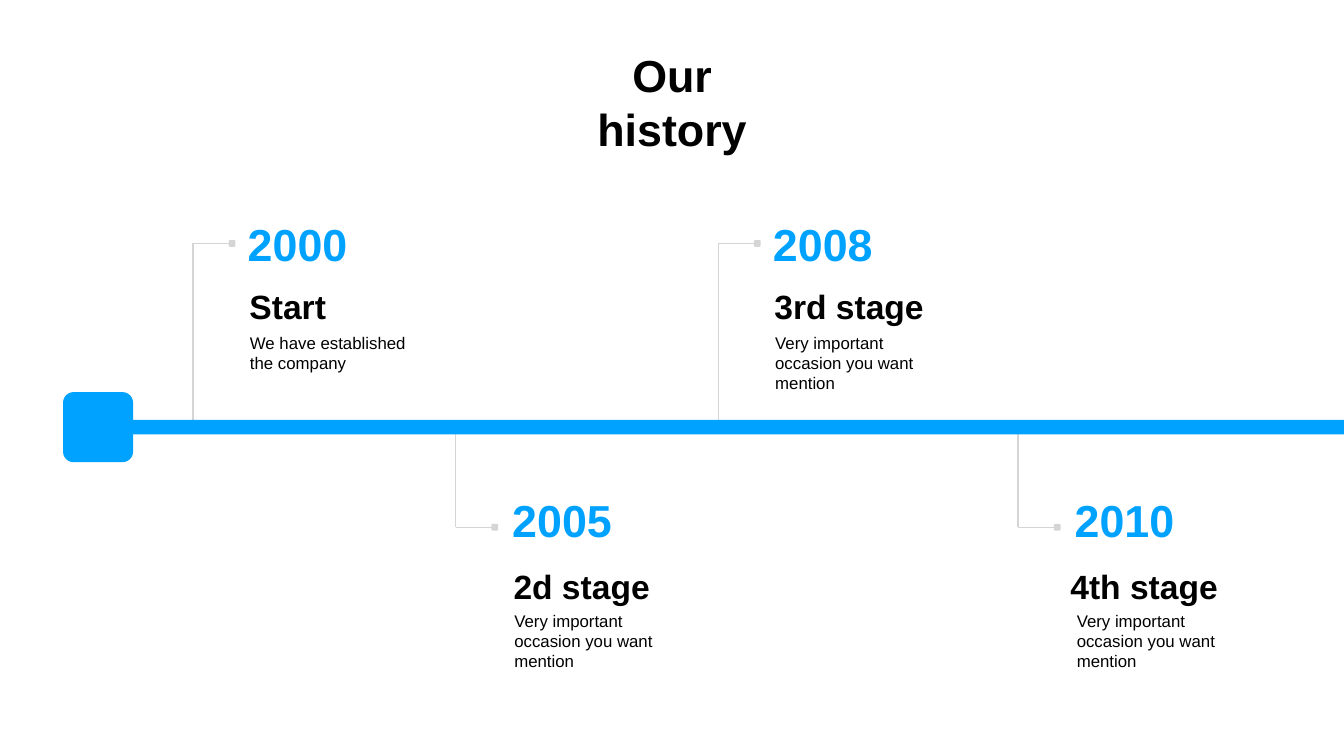
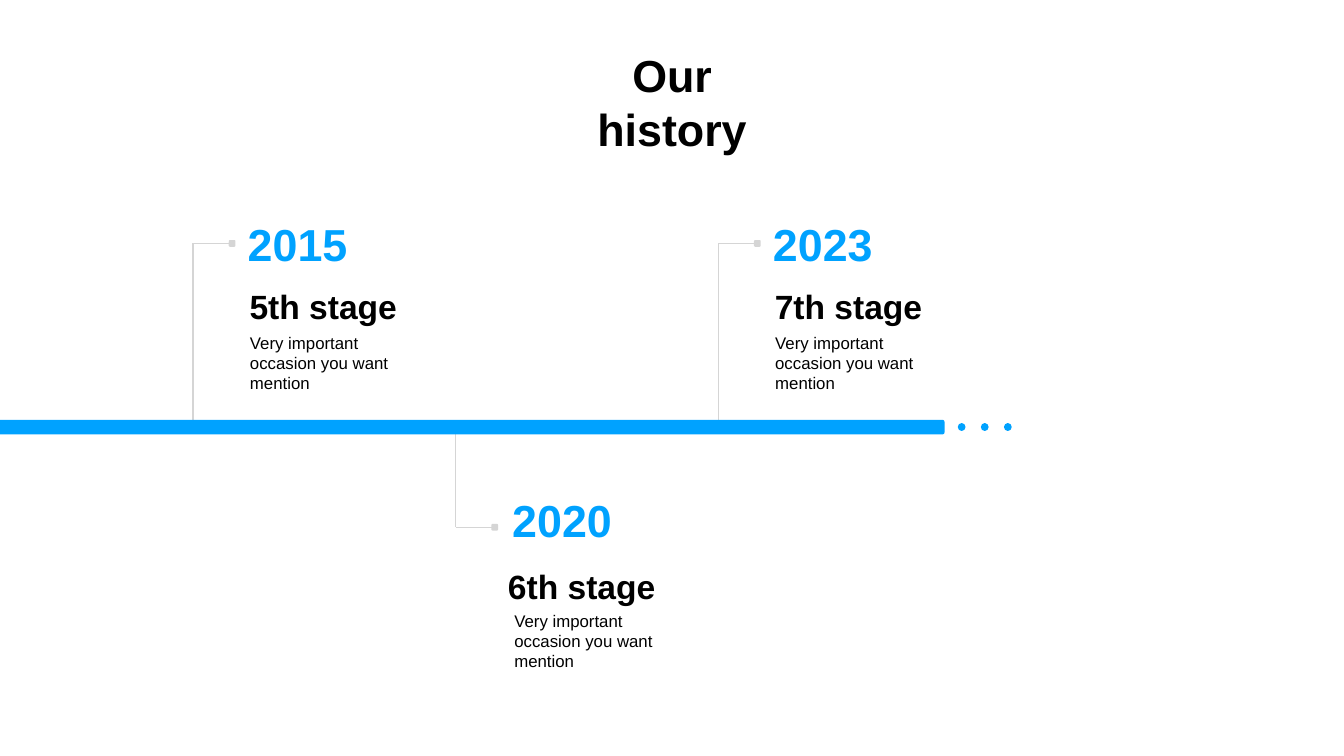
from dataclasses import dataclass

from lxml.etree import SubElement
from pptx import Presentation
from pptx.dml.color import RGBColor
from pptx.enum.shapes import MSO_CONNECTOR, MSO_SHAPE
from pptx.enum.text import MSO_ANCHOR, MSO_AUTO_SIZE, PP_ALIGN
from pptx.oxml.ns import qn
from pptx.util import Inches, Pt

WIDTH, HEIGHT = Inches(26.67), Inches(15)
COLS = ROWS = 100
FONT = "Arial"
COLORS = {"blue": "00A2FF", "gray": "D5D5D5", "black": "000000"}

BAR_TOP, BAR_W, BAR_H = 55.53, 98.33, 1.93
STEMS = (14.36, 33.9, 53.44, 75.75)
MARK_W, MARK_H = 0.5, 0.89
OCCASION = "Very important occasion you want mention"


@dataclass
class Side:
    top: float
    stem_end: float
    tick: float
    year_x: float
    label_y: float
    body_x: float
    body_y: float


ABOVE = Side(28.27, 28.33, 3.93, 3.84, 9.2, 4.03, 15.33)
BELOW = Side(64.87, -8.4, 4.87, 3.98, 9.6, 4.16, 15.53)
ABOVE_LABEL_X = 3.92
BELOW_LABEL_MID = 9.38


@dataclass
class Stage:
    year: str
    label: str
    label_w: float = 11.55
    body: str = OCCASION
    body_w: float = 11.29
    body_h: float = 8.73


FIRST_STAGES = (
    Stage("2000", "Start", 6.26, "We have established the company", 12.79, 6.07),
    Stage("2005", "2d stage", 10.69),
    Stage("2008", "3rd stage", 11.63),
    Stage("2010", "4th stage"),
)
LATER_STAGES = (
    Stage("2015", "5th stage", body_w=12.79),
    Stage("2020", "6th stage"),
    Stage("2023", "7th stage"),
)


def col(n):
    return round(WIDTH * n / COLS)


def row(n):
    return round(HEIGHT * n / ROWS)


def rgb(name):
    return RGBColor.from_string(COLORS[name])


def add_line(s, x1, y1, x2, y2, color="gray", width=2):
    line = s.shapes.add_connector(
        MSO_CONNECTOR.STRAIGHT, col(x1), row(y1), col(x2), row(y2))
    line.line.color.rgb = rgb(color)
    line.line.width = Pt(width)
    SubElement(line._element.spPr, qn("a:effectLst"))
    return line


def add_rounded(s, x, y, w, h, color, corner=0.15):
    sp = s.shapes.add_shape(
        MSO_SHAPE.ROUNDED_RECTANGLE, col(x), row(y), col(w), row(h))
    sp.adjustments[0] = corner
    sp.shadow.inherit = False
    sp.fill.solid()
    sp.fill.fore_color.rgb = rgb(color)
    sp.line.fill.background()


def add_text(s, x, y, w, h, text, size, color="black", heading=True):
    tf = s.shapes.add_textbox(col(x), row(y), col(w), row(h)).text_frame
    tf.word_wrap = not heading
    tf.auto_size = MSO_AUTO_SIZE.SHAPE_TO_FIT_TEXT
    tf.vertical_anchor = MSO_ANCHOR.MIDDLE
    tf.margin_left = tf.margin_right = tf.margin_top = tf.margin_bottom = Pt(4)
    p = tf.paragraphs[0]
    p.alignment = PP_ALIGN.CENTER if heading else PP_ALIGN.LEFT
    r = p.add_run()
    r.text = text
    r.font.name = FONT
    r.font.size = Pt(size)
    r.font.bold = heading
    r.font.color.rgb = rgb(color)


def add_branch(s, x, side):
    tick = side.top + side.tick
    add_line(s, x, side.top + side.stem_end, x, tick)
    add_line(s, x, tick, x + 3, tick)
    add_rounded(s, x + 2.66, tick - MARK_H / 2, MARK_W, MARK_H, "gray", 0.2)


def add_stage(s, x, side, stage):
    y = side.top
    label_x = ABOVE_LABEL_X if side is ABOVE else BELOW_LABEL_MID - stage.label_w / 2
    add_text(s, x + side.year_x, y, 7.88, 7.8, stage.year, 64, "blue")
    add_text(s, x + label_x, y + side.label_y, stage.label_w, 6, stage.label, 48)
    add_text(s, x + side.body_x, y + side.body_y, stage.body_w, stage.body_h,
             stage.body, 24, heading=False)


def add_more_dots(s, x, y, w):
    dots = add_line(s, x, y, x + w, y, "blue", 11)
    ln = dots.line._get_or_add_ln()
    ln.set("cap", "rnd")
    dash = SubElement(ln, qn("a:custDash"))
    SubElement(dash, qn("a:ds"), d="100000", sp="200000")
    SubElement(ln, qn("a:round"))


def add_timeline(prs, stages, bar_x, starts=False, continues=False):
    s = prs.slides.add_slide(prs.slide_layouts[6])
    placed = [(x, BELOW if i % 2 else ABOVE, stage)
              for i, (x, stage) in enumerate(zip(STEMS, stages))]
    for x, side, _ in placed:
        add_branch(s, x, side)
    if continues:
        add_more_dots(s, bar_x + BAR_W - 0.45, BAR_TOP + BAR_H / 2, 6.56)
    add_rounded(s, bar_x, BAR_TOP, BAR_W, BAR_H, "blue")
    if starts:
        add_rounded(s, 4.69, 51.87, 5.21, 9.27, "blue")
    add_text(s, 40.95, 9.53, 18.11, 7.8, "Our history", 64)
    for x, side, stage in placed:
        add_stage(s, x, side, stage)


def main():
    prs = Presentation()
    prs.slide_width, prs.slide_height = WIDTH, HEIGHT
    add_timeline(prs, FIRST_STAGES, 7.28, starts=True)
    add_timeline(prs, LATER_STAGES, -28.05, continues=True)
    prs.save("out.pptx")


if __name__ == "__main__":
    main()
